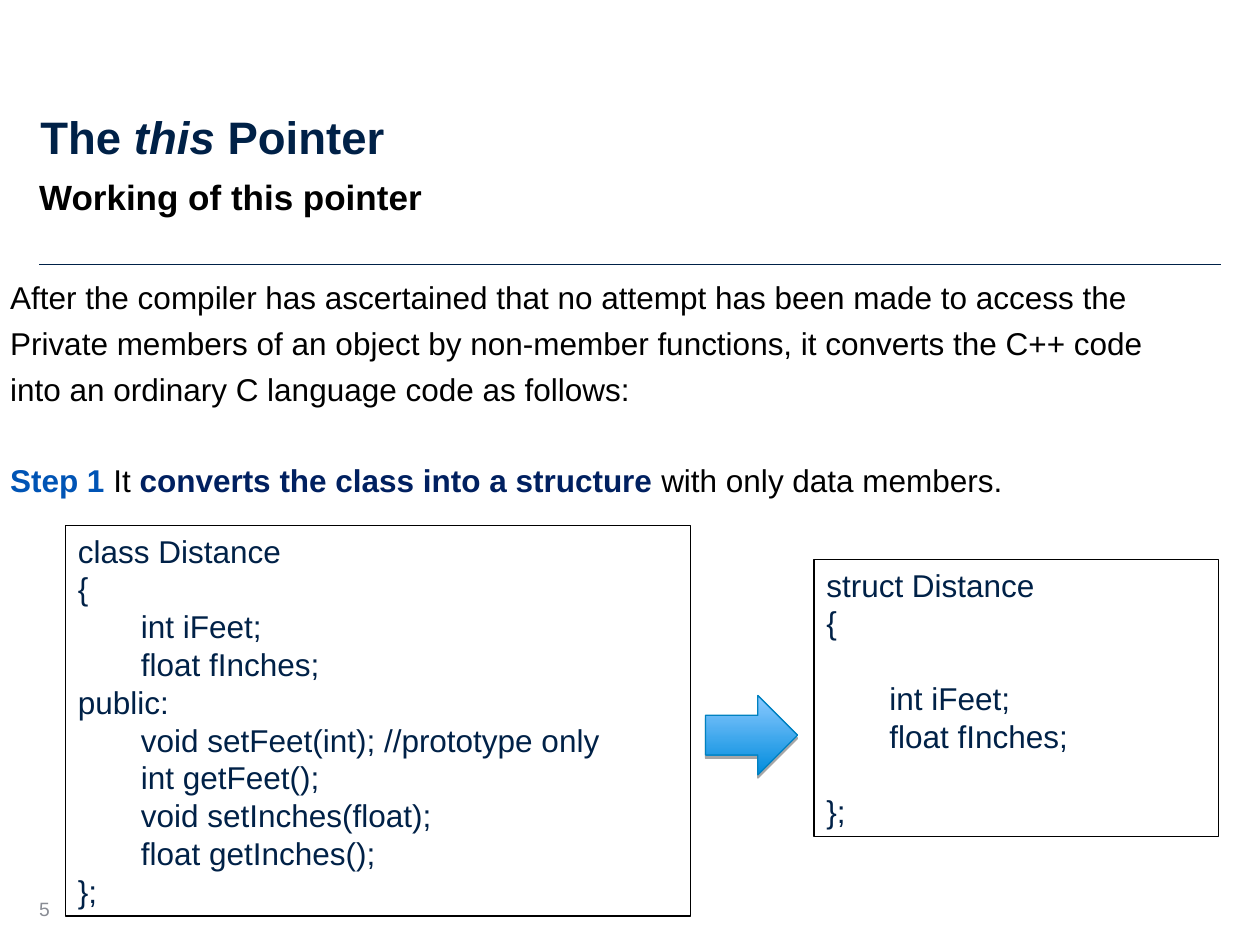
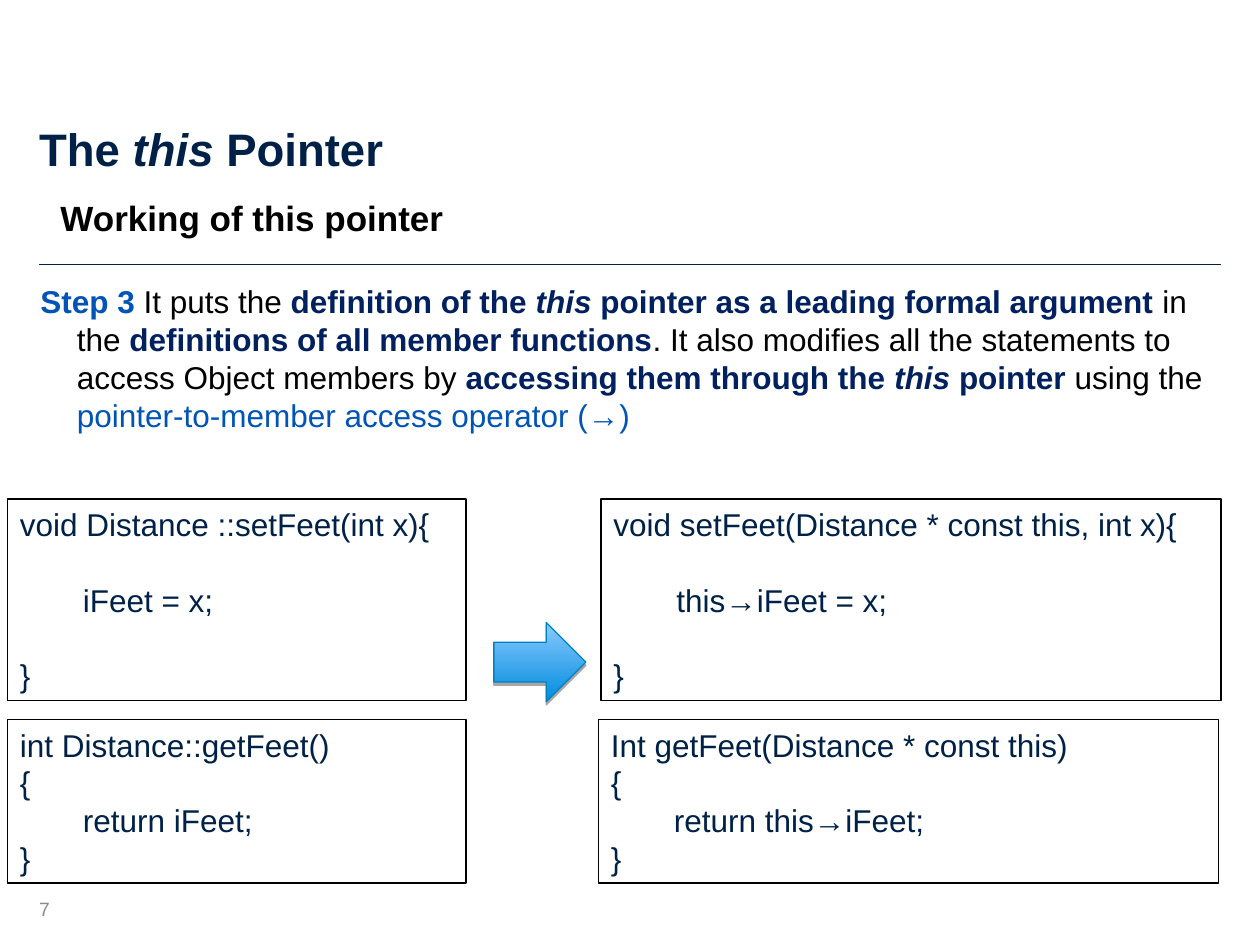
import lxml.etree
import pptx
import pptx.dml.color
import pptx.enum.shapes
import pptx.enum.text
import pptx.oxml.ns
import pptx.util

Inches = pptx.util.Inches
Pt = pptx.util.Pt
RGBColor = pptx.dml.color.RGBColor
qn = pptx.oxml.ns.qn
Anchor = pptx.enum.text.MSO_ANCHOR
Shape = pptx.enum.shapes.MSO_SHAPE

FONT = "Arial"
NAVY = RGBColor(0x00, 0x21, 0x47)
KEY_BLUE = RGBColor(0x00, 0x20, 0x60)
STEP_BLUE = RGBColor(0x00, 0x54, 0xB5)
BLACK = RGBColor(0x00, 0x00, 0x00)
GREY = RGBColor(0x89, 0x8C, 0x94)
ARROW_DARK = RGBColor(0x00, 0x8C, 0xDD)
ARROW_LIGHT = RGBColor(0x8B, 0xC9, 0xFF)
ARROW_EDGE = RGBColor(0x00, 0x81, 0xC0)

# Run styles: colour, bold, italic
PLAIN = (BLACK, False, False)
HEADING = (BLACK, True, False)
STEP = (STEP_BLUE, True, False)
OPERATOR = (STEP_BLUE, False, False)
KEY = (KEY_BLUE, True, False)
KEY_ITALIC = (KEY_BLUE, True, True)
TITLE = (NAVY, True, False)
TITLE_ITALIC = (NAVY, True, True)
CODE = (NAVY, False, False)
NUMBER = (GREY, False, False)

TEXT_SIZE = 18
LINE_RATIO = 1.2
BODY_GAP = 4.5
HANGING = Inches(0.29)


class Deck:
    def __init__(self):
        self.presentation = pptx.Presentation()
        self.presentation.slide_width = Inches(10)
        self.presentation.slide_height = Inches(7.5)
        self.slide = None

    def add_slide(self, number):
        """Start a slide with the shared rule and its page number."""
        layout = self.presentation.slide_layouts.get_by_name("Two Content")
        self.slide = self.presentation.slides.add_slide(layout)
        rule = self.slide.shapes.add_connector(
            pptx.enum.shapes.MSO_CONNECTOR.STRAIGHT,
            Inches(0.31), Inches(2.1), Inches(9.69), Inches(2.1))
        rule.line.color.rgb = NAVY
        rule.line.width = Pt(0.6)
        lxml.etree.SubElement(rule._element.spPr, qn("a:effectLst"))
        box = self.slide.shapes.add_textbox(
            Inches(0.31), Inches(6.99), Inches(0.38), Inches(0.39))
        self.frame(box, (0, 0.05, 0, 0), Anchor.MIDDLE)
        self.add_runs(box.text_frame.paragraphs[0], [(number, NUMBER)], 11)

    def frame(self, shape, insets, anchor=Anchor.TOP):
        text_frame = shape.text_frame
        text_frame.word_wrap = True
        text_frame.auto_size = pptx.enum.text.MSO_AUTO_SIZE.NONE
        text_frame.vertical_anchor = anchor
        (text_frame.margin_left, text_frame.margin_top, text_frame.margin_right,
         text_frame.margin_bottom) = map(Inches, insets)

    def add_runs(self, paragraph, runs, size, space_before=0, hanging=0):
        properties = paragraph._p.get_or_add_pPr()
        properties.set("marL", str(hanging))
        properties.set("indent", str(-hanging))
        lxml.etree.SubElement(properties, qn("a:buNone"))
        paragraph.alignment = pptx.enum.text.PP_ALIGN.LEFT
        paragraph.line_spacing = Pt(size * LINE_RATIO)
        paragraph.space_before = Pt(space_before)
        for text, (color, bold, italic) in runs:
            run = paragraph.add_run()
            run.text = text
            run.font.name = FONT
            run.font.size = Pt(size)
            run.font.color.rgb = color
            run.font.bold = bold
            run.font.italic = italic

    def add_lines(self, text_frame, lines, gap=0, hanging=0):
        """Add one paragraph per line; an empty line becomes space before the next."""
        space_before = 0
        paragraph = text_frame.paragraphs[0]
        for runs in lines:
            if not runs:
                space_before += TEXT_SIZE * LINE_RATIO + gap
                continue
            if paragraph is None:
                paragraph = text_frame.add_paragraph()
            self.add_runs(paragraph, runs, TEXT_SIZE, space_before, hanging)
            paragraph, space_before = None, gap

    def placeholder(self, index, left, top, width, height):
        shape = self.slide.placeholders[index]
        shape.left, shape.top = Inches(left), Inches(top)
        shape.width, shape.height = Inches(width), Inches(height)
        return shape

    def title(self, left, top, bottom_inset=0):
        shape = self.placeholder(0, left, top, 7.59, 1.39)
        self.frame(shape, (0, 0.05, 0, bottom_inset), Anchor.BOTTOM)
        runs = [("The ", TITLE), ("this", TITLE_ITALIC), (" Pointer", TITLE)]
        self.add_runs(shape.text_frame.paragraphs[0], runs, 26)

    def subtitle(self, left, top):
        shape = self.placeholder(1, left, top, 7.59, 0.53)
        self.frame(shape, (0, 0, 0, 0))
        runs = [("Working of this pointer", HEADING)]
        self.add_runs(shape.text_frame.paragraphs[0], runs, 20)

    def body(self, left, top, width, height, lines):
        shape = self.placeholder(2, left, top, width, height)
        self.frame(shape, (0, 0.05, 0, 0))
        self.add_lines(shape.text_frame, lines, BODY_GAP, HANGING)

    def code(self, left, top, width, height, source):
        shape = self.slide.shapes.add_shape(
            Shape.RECTANGLE, Inches(left), Inches(top), Inches(width), Inches(height))
        shape.shadow.inherit = False
        shape.fill.background()
        shape.line.color.rgb = BLACK
        shape.line.width = Pt(0.75)
        self.frame(shape, (0.1, 0.05, 0.1, 0.05))
        lines = [[(line, CODE)] if line else [] for line in source.split("\n")]
        self.add_lines(shape.text_frame, lines)

    def arrow(self, left, top):
        shape = self.slide.shapes.add_shape(
            Shape.RIGHT_ARROW, Inches(left), Inches(top), Inches(0.73), Inches(0.63))
        shape.fill.gradient()
        shape.fill.gradient_angle = 90
        stops = zip(shape.fill.gradient_stops, (0, 1), (ARROW_DARK, ARROW_LIGHT))
        for stop, position, color in stops:
            stop.position = position
            stop.color.rgb = color
        shape.line.color.rgb = ARROW_EDGE
        shape.line.width = Pt(0.75)
        shape.shadow.inherit = False
        effects = shape._element.spPr.find(qn("a:effectLst"))
        shadow = lxml.etree.SubElement(
            effects, qn("a:outerShdw"), dist=str(Pt(1.8)), dir="5400000", rotWithShape="0")
        shade = lxml.etree.SubElement(shadow, qn("a:srgbClr"), val=str(BLACK))
        lxml.etree.SubElement(shade, qn("a:alpha"), val="35000")


def class_to_structure(deck):
    deck.add_slide("5")
    deck.title(0.32, 0.34, bottom_inset=0.43)
    deck.subtitle(0.31, 1.39)
    deck.body(0.08, 2.16, 9.69, 2, [
        [("After the compiler has ascertained that no attempt has been made to access the", PLAIN)],
        [("Private members of an object by non-member functions, it converts the C++ code", PLAIN)],
        [("into an ordinary C language code as follows:", PLAIN)],
        [],
        [("Step 1 ", STEP), ("It ", PLAIN), ("converts the class into a structure ", KEY),
         ("with only data members.", PLAIN)],
    ])
    deck.code(0.52, 4.17, 4.96, 3.1, """class Distance
{
\tint iFeet;
\tfloat fInches;
public:
\tvoid setFeet(int); //prototype only
\tint getFeet();
\tvoid setInches(float);
\tfloat getInches();
};""")
    deck.code(6.46, 4.44, 3.21, 2.2, """struct Distance
{

\tint iFeet;
\tfloat fInches;

};""")
    deck.arrow(5.6, 5.52)


def leading_argument(deck):
    deck.add_slide("7")
    deck.title(0.31, 0)
    deck.subtitle(0.48, 1.56)
    deck.body(0.32, 2.19, 9.37, 1.56, [[
        ("Step 3 ", STEP), ("It puts the ", PLAIN), ("definition of the ", KEY),
        ("this", KEY_ITALIC), (" pointer as a leading formal argument ", KEY),
        ("in the ", PLAIN), ("definitions of all member functions", KEY),
        (". It also modifies all the statements to access Object members by ", PLAIN),
        ("accessing them through the ", KEY), ("this", KEY_ITALIC), (" pointer ", KEY),
        ("using the ", PLAIN), ("pointer-to-member access operator (→)", OPERATOR),
    ]])
    deck.code(0.06, 3.96, 3.64, 1.6, "void Distance ::setFeet(int x){\n\n\tiFeet = x;\n\n}")
    deck.code(4.77, 3.96, 4.92, 1.6,
              "void setFeet(Distance * const this, int x){\n\n\tthis→iFeet = x;\n\n}")
    deck.arrow(3.92, 4.94)
    deck.code(0.06, 5.71, 3.64, 1.3, "int Distance::getFeet()\n{\n\treturn iFeet;\n}")
    deck.code(4.75, 5.71, 4.92, 1.3,
              "Int getFeet(Distance * const this)\n{\n\treturn this→iFeet;\n}")


def main():
    deck = Deck()
    class_to_structure(deck)
    leading_argument(deck)
    deck.presentation.save("out.pptx")


if __name__ == "__main__":
    main()
